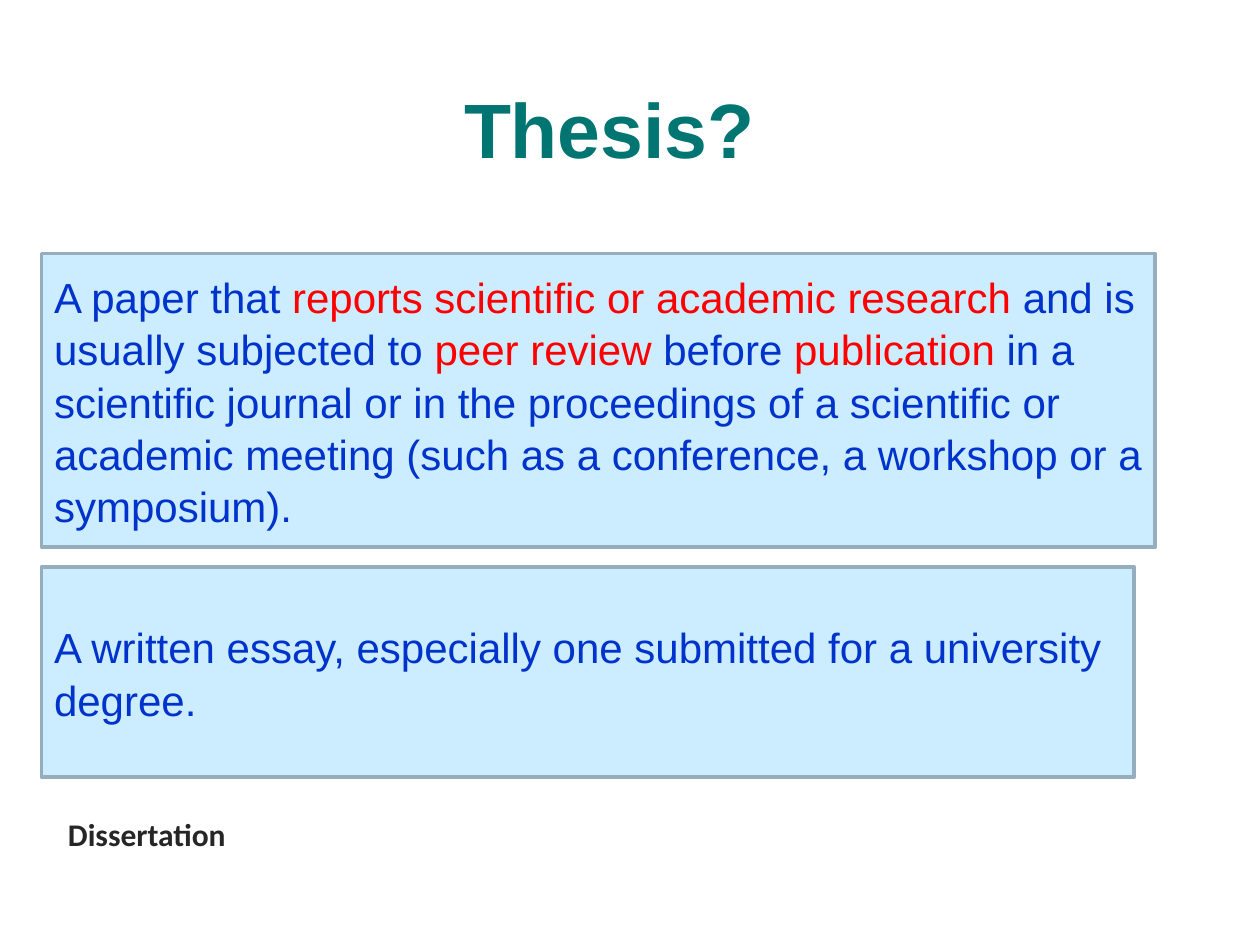
import pptx
import pptx.dml.color
import pptx.enum.shapes
import pptx.enum.text
import pptx.util

Cm = pptx.util.Cm
Pt = pptx.util.Pt
ALIGN = pptx.enum.text.PP_ALIGN
ANCHOR = pptx.enum.text.MSO_ANCHOR

COLORS = {
    "title": "007572",
    "panel": "CCECFF",
    "border": "95ADBC",
    "body": "0033CC",
    "emphasis": "FF0000",
    "term": "262626",
}

PAPER = [
    ("A paper that ", "body"),
    ("reports scientific or academic research ", "emphasis"),
    ("and is usually subjected to ", "body"),
    ("peer review ", "emphasis"),
    ("before ", "body"),
    ("publication", "emphasis"),
    (" in a scientific journal or in the proceedings of a scientific or "
     "academic meeting (such as a conference, a workshop or a symposium).", "body"),
]
ESSAY = [
    ("A written essay, especially one submitted for a university degree.", "body"),
]


def rgb(name):
    return pptx.dml.color.RGBColor.from_string(COLORS[name])


def write(frame, pieces, size=24, font="Arial", bold=False, align=ALIGN.LEFT,
          anchor=ANCHOR.MIDDLE, spacing=1.0):
    frame.word_wrap = True
    frame.vertical_anchor = anchor
    paragraph = frame.paragraphs[0]
    paragraph.alignment = align
    paragraph.line_spacing = spacing
    for text, color in pieces:
        run = paragraph.add_run()
        run.text = text
        run.font.size = Pt(size)
        run.font.name = font
        run.font.bold = bold
        run.font.color.rgb = rgb(color)


def add_label(slide, box, text, color, **text_format):
    label = slide.shapes.add_textbox(*map(Cm, box))
    write(label.text_frame, [(text, color)], **text_format)


def add_definition(slide, box, pieces):
    panel = slide.shapes.add_shape(
        pptx.enum.shapes.MSO_SHAPE.RECTANGLE, *map(Cm, box))
    panel.shadow.inherit = False
    panel.fill.solid()
    panel.fill.fore_color.rgb = rgb("panel")
    panel.line.color.rgb = rgb("border")
    panel.line.width = Pt(2)
    write(panel.text_frame, pieces, spacing=1.04)


def main():
    deck = pptx.Presentation()
    deck.slide_width = Cm(25.4)
    deck.slide_height = Cm(19.05)
    slide = deck.slides.add_slide(deck.slide_layouts[6])

    add_label(slide, (0.43, 1.52, 23.72, 2.11), "Thesis?", "title",
              size=44, bold=True, align=ALIGN.CENTER)
    add_definition(slide, (0.84, 11.43, 22.02, 4.24), ESSAY)
    add_definition(slide, (0.84, 5.11, 22.45, 5.92), PAPER)
    add_label(slide, (1.12, 16.31, 4.27, 1.02), "Dissertation", "term",
              size=18, font="Calibri", bold=True, anchor=ANCHOR.TOP)

    deck.save("out.pptx")


if __name__ == "__main__":
    main()
